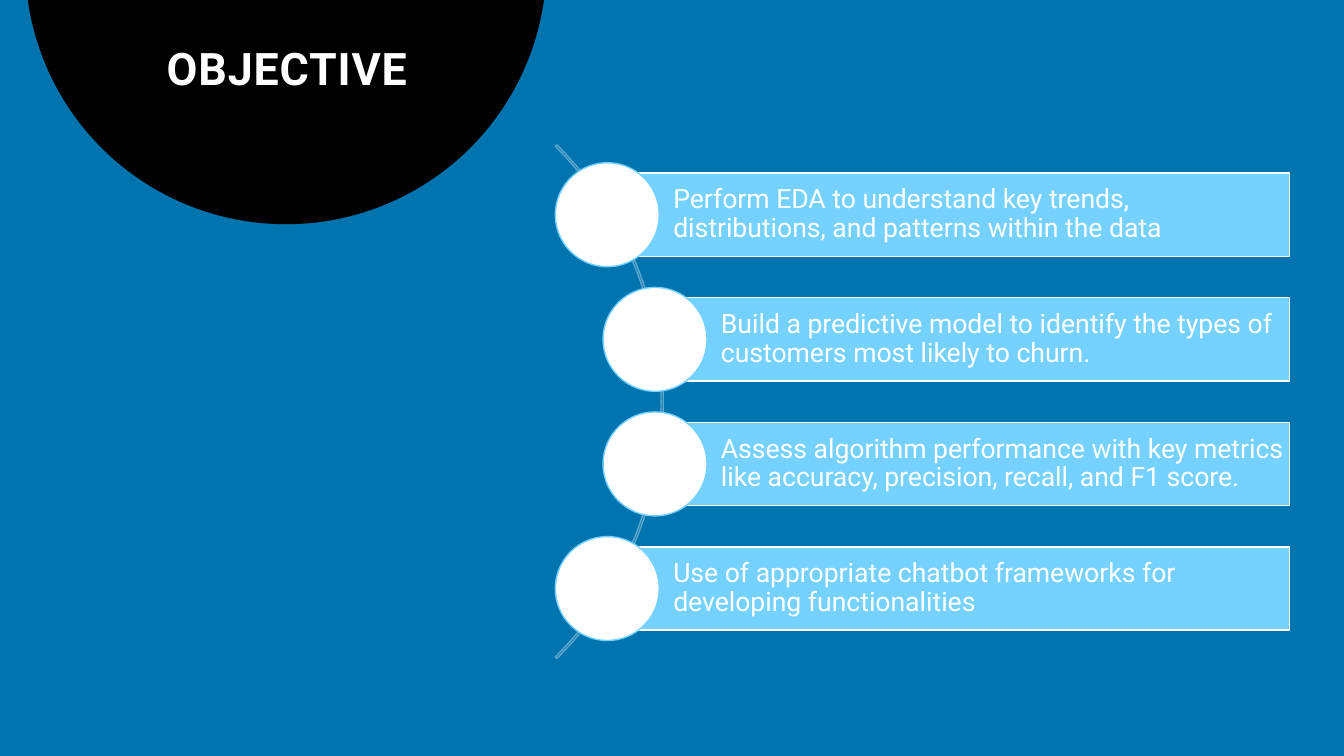
from pptx import Presentation
from pptx.dml.color import RGBColor
from pptx.enum.shapes import MSO_SHAPE as Shape
from pptx.enum.text import MSO_ANCHOR as Anchor, PP_ALIGN as Align
from pptx.util import Pt

TITLE = "OBJECTIVE"
# Text of each objective and the horizontal centre of its dot
OBJECTIVES = [
    ("Perform EDA to understand key trends, distributions, and patterns within the data", 433.8),
    ("Build a predictive model to identify the types of customers most likely to churn.", 467.9),
    ("Assess algorithm performance with key metrics like accuracy, precision, recall, and F1 score.", 467.9),
    ("Use of appropriate chatbot frameworks for developing functionalities", 433.8),
]
COLORS = {
    "background": "0074AF",
    "circle": "000000",
    "arc": "5EA7CC",
    "bar": "75D1FF",
    "white": "FFFFFF",
}
FONT = "Roboto"

WIDTH, HEIGHT = 960, 540
FIRST_CENTER, PITCH = 153.4, 89
BAR_RIGHT, BAR_HEIGHT = 921, 59.4
DOT_SIZE = 74.2
ARC_LEFT, ARC_TOP, ARC_SIZE = -45.2, 27.4, 519
CIRCLE_LEFT, CIRCLE_TOP, CIRCLE_SIZE = 18, -212.2, 372.4


def color(name):
    return RGBColor.from_string(COLORS[name])


def add_shape(slide, kind, left, top, width, height, fill=None, line=None):
    shape = slide.shapes.add_shape(kind, Pt(left), Pt(top), Pt(width), Pt(height))
    shape.shadow.inherit = False
    if fill:
        shape.fill.solid()
        shape.fill.fore_color.rgb = color(fill)
    else:
        shape.fill.background()
    if line:
        shape.line.color.rgb = color(line)
        shape.line.width = Pt(1)
    else:
        shape.line.fill.background()
    return shape


def write(shape, text, size, align, margins, bold=False):
    """Fill a shape with one white run; margins are left, top, right, bottom."""
    frame = shape.text_frame
    frame.word_wrap = True
    frame.vertical_anchor = Anchor.MIDDLE
    (frame.margin_left, frame.margin_top,
     frame.margin_right, frame.margin_bottom) = [Pt(margin) for margin in margins]
    paragraph = frame.paragraphs[0]
    paragraph.alignment = align
    paragraph.line_spacing = 0.9
    paragraph.space_before = Pt(0)
    run = paragraph.add_run()
    run.text = text
    run.font.name = FONT
    run.font.size = Pt(size)
    run.font.bold = bold
    run.font.color.rgb = color("white")
    return run


def add_title(slide):
    title = slide.shapes.title
    title.left, title.top, title.width, title.height = Pt(44), Pt(0), Pt(322), Pt(72)
    run = write(title, TITLE, 32, Align.CENTER, (11.5, 33, 11.5, 3.6), bold=True)
    run.font._element.set("spc", "60")
    slide.shapes.element.append(title.element)  # bring in front of the circle


def add_objective(slide, index, text, center_x):
    center_y = FIRST_CENTER + index * PITCH
    bar = add_shape(slide, Shape.RECTANGLE, center_x, center_y - BAR_HEIGHT / 2,
                    BAR_RIGHT - center_x, BAR_HEIGHT, "bar", "white")
    write(bar, text, 19, Align.LEFT, (47.1, 3.6, 3, 3.6))
    add_shape(slide, Shape.OVAL, center_x - DOT_SIZE / 2, center_y - DOT_SIZE / 2,
              DOT_SIZE, DOT_SIZE, "white", "bar")


def main():
    presentation = Presentation()
    presentation.slide_width, presentation.slide_height = Pt(WIDTH), Pt(HEIGHT)
    slide = presentation.slides.add_slide(presentation.slide_layouts[5])
    slide.background.fill.solid()
    slide.background.fill.fore_color.rgb = color("background")

    add_shape(slide, Shape.OVAL, CIRCLE_LEFT, CIRCLE_TOP, CIRCLE_SIZE, CIRCLE_SIZE, "circle")
    arc = add_shape(slide, Shape.BLOCK_ARC, ARC_LEFT, ARC_TOP, ARC_SIZE, ARC_SIZE, line="arc")
    for index, value in enumerate((189, 27, 0.003)):
        arc.adjustments[index] = value
    for index, (text, center_x) in enumerate(OBJECTIVES):
        add_objective(slide, index, text, center_x)
    add_title(slide)
    presentation.save("out.pptx")


if __name__ == "__main__":
    main()
